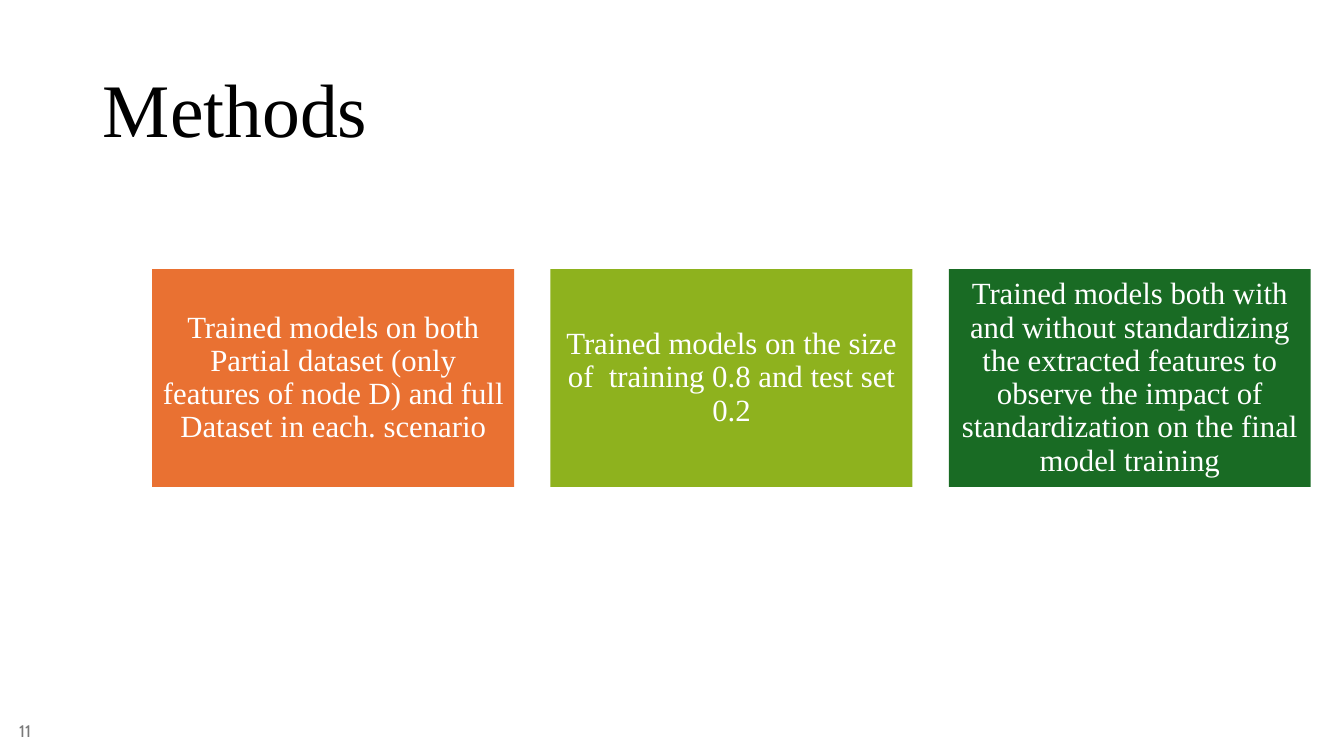
from pptx import Presentation
from pptx.dml.color import RGBColor
from pptx.enum.shapes import MSO_SHAPE
from pptx.enum.text import MSO_ANCHOR, MSO_AUTO_SIZE, PP_ALIGN
from pptx.util import Pt

RECT = MSO_SHAPE.RECTANGLE
MIDDLE = MSO_ANCHOR.MIDDLE
NO_FIT = MSO_AUTO_SIZE.NONE
LEFT, CENTER = PP_ALIGN.LEFT, PP_ALIGN.CENTER

PX = 9144  # EMU per px, 100 px to the inch
TITLE_ONLY = 5

THEME = {
    "title": {"name": "Times New Roman", "size": Pt(54), "color": "000000"},
    "card": {"name": "Times New Roman", "size": Pt(22), "color": "FFFFFF"},
    "number": {"name": "Cabin", "size": Pt(12), "color": "797979"},
    "fills": ["E97132", "8EB21E", "196B24"],
}

METHODS = [
    "Trained models on both Partial dataset (only features of node D) "
    "and full Dataset in each. scenario",
    "Trained models on the size of  training 0.8 and test set 0.2",
    "Trained models both with and without standardizing the extracted "
    "features to observe the impact of standardization on the final "
    "model training",
]


def px(*lengths):
    return [n * PX for n in lengths]


def write(sp, text, style, align, inset, spacing=1.0):
    """Fill a shape with one formatted, vertically centred paragraph."""
    tf = sp.text_frame
    frame = {"word_wrap": True, "auto_size": NO_FIT, "vertical_anchor": MIDDLE}
    for side in ("left", "top", "right", "bottom"):
        frame[f"margin_{side}"] = inset * PX
    for key, value in frame.items():
        setattr(tf, key, value)
    p = tf.paragraphs[0]
    p.alignment, p.line_spacing = align, spacing
    r = p.add_run()
    r.text = text
    for key in ("name", "size"):
        setattr(r.font, key, style[key])
    r.font.color.rgb = RGBColor.from_string(style["color"])


def add_title(s, box, text):
    sp = s.shapes.title
    sp.left, sp.top, sp.width, sp.height = px(*box)
    write(sp, text, THEME["title"], LEFT, 10, 0.9)


def add_cards(s, box, gap, texts):
    """Equal cards side by side across the box."""
    x, y, w, h = box
    card_w = (w - gap * (len(texts) - 1)) // len(texts)
    for i, (text, fill) in enumerate(zip(texts, THEME["fills"])):
        left = x + i * (card_w + gap)
        sp = s.shapes.add_shape(RECT, *px(left, y, card_w, h))
        sp.shadow.inherit = False
        sp.fill.solid()
        sp.fill.fore_color.rgb = RGBColor.from_string(fill)
        sp.line.fill.background()
        write(sp, text, THEME["card"], CENTER, 9, 0.9)


def add_number(s, box, number):
    sp = s.shapes.add_textbox(*px(*box))
    write(sp, number, THEME["number"], CENTER, 0)


def main():
    prs = Presentation()
    prs.slide_width, prs.slide_height = px(1333, 750)
    s = prs.slides.add_slide(prs.slide_layouts[TITLE_ONLY])

    # Heading
    add_title(s, (92, 40, 1150, 145), "Methods")
    # Three training methods
    add_cards(s, (151, 267, 1150, 216), 36, METHODS)
    # Slide number
    add_number(s, (0, 705, 50, 40), "11")

    prs.save("out.pptx")


if __name__ == "__main__":
    main()
